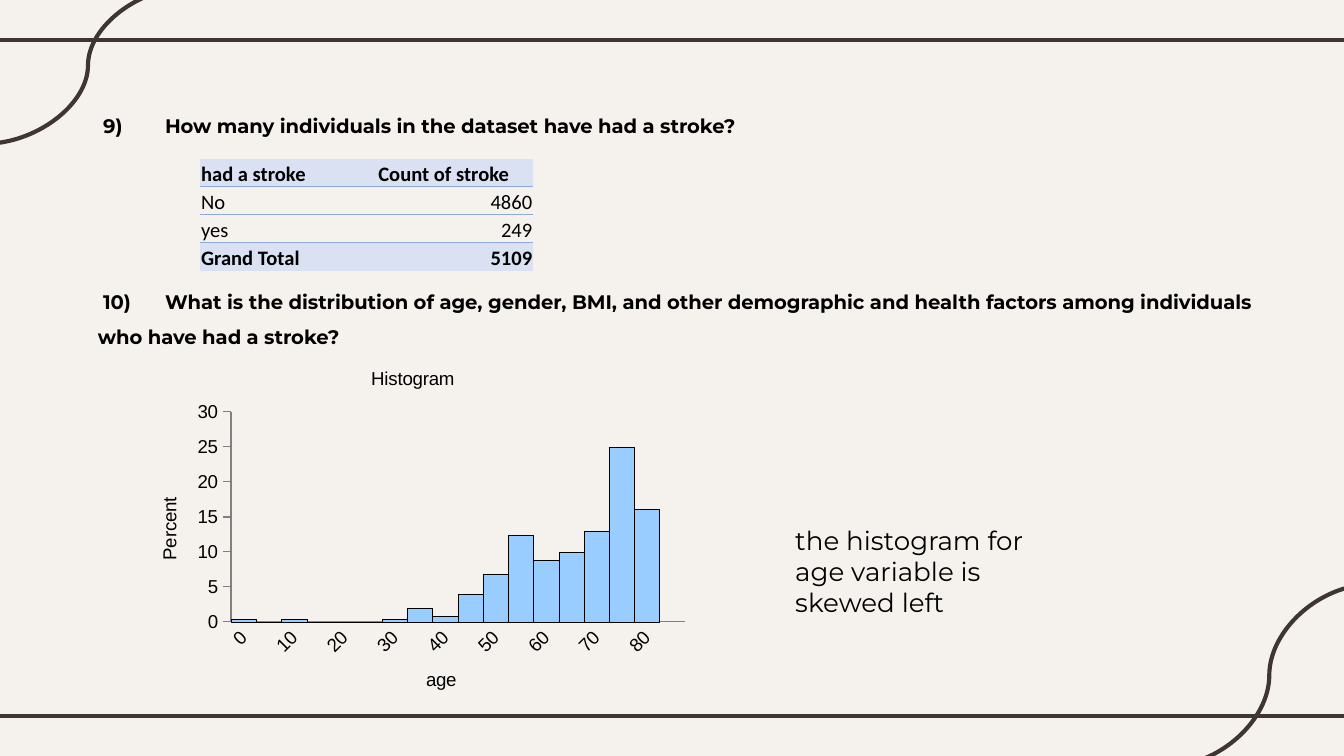
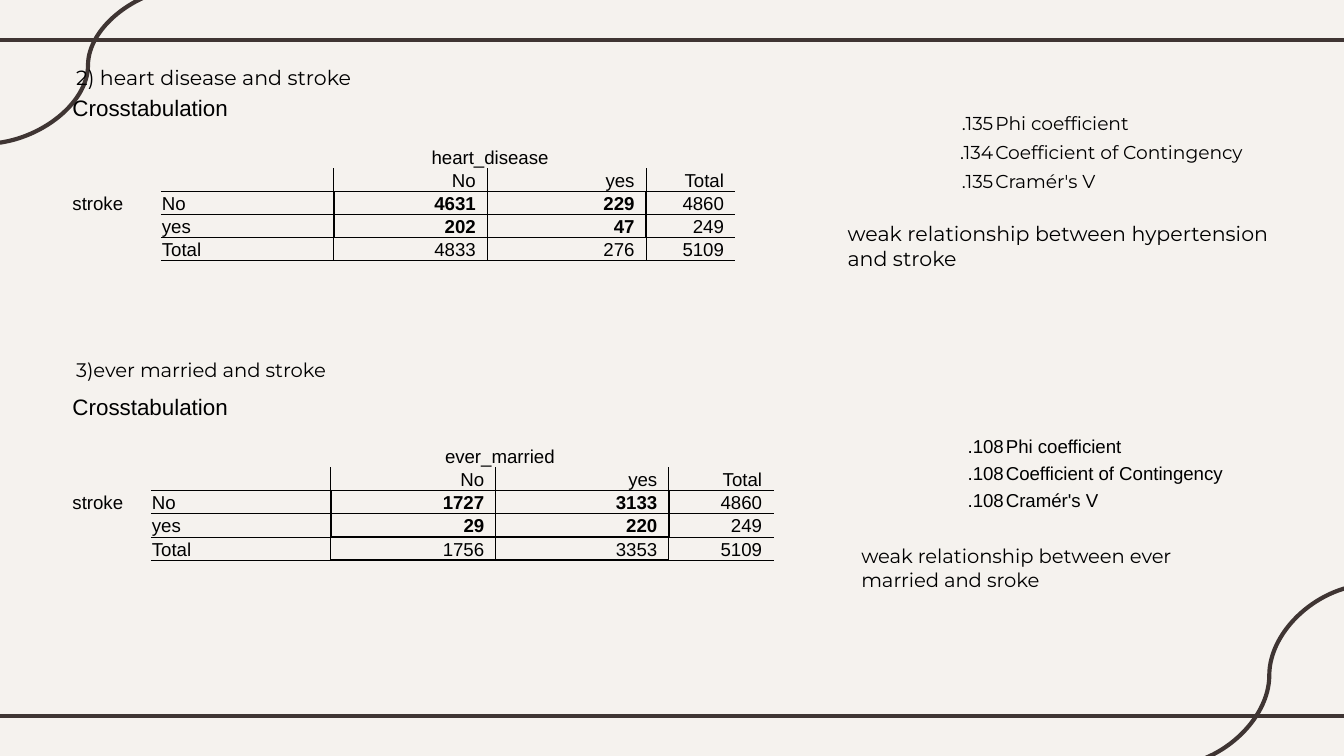
from lxml import etree
from pptx import Presentation
from pptx.chart.data import CategoryChartData
from pptx.dml.color import RGBColor
from pptx.enum.chart import XL_CHART_TYPE, XL_TICK_MARK
from pptx.enum.shapes import MSO_CONNECTOR
from pptx.enum.text import MSO_ANCHOR, PP_ALIGN
from pptx.oxml.ns import qn
from pptx.util import Cm, Pt

# Shared look
CREAM = RGBColor(0xF5, 0xF2, 0xEE)
BROWN = RGBColor(0x3F, 0x35, 0x33)
BLACK = RGBColor(0x00, 0x00, 0x00)
GREY = RGBColor(0x80, 0x80, 0x80)
PALE_BLUE = RGBColor(0xD9, 0xE1, 0xF2)
RULE_BLUE = RGBColor(0x8E, 0xA9, 0xDB)
BAR_BLUE = RGBColor(0x99, 0xCC, 0xFF)
BODY_FONT = "Montserrat"
TABLE_FONT = "Calibri"
OUTPUT_FONT = "Arial"

STRAIGHT = MSO_CONNECTOR.STRAIGHT
CURVE = MSO_CONNECTOR.CURVE
COLUMN = XL_CHART_TYPE.COLUMN_CLUSTERED
TICK_NONE = XL_TICK_MARK.NONE
TICK_OUTSIDE = XL_TICK_MARK.OUTSIDE
BOTTOM = MSO_ANCHOR.BOTTOM
LEFT = PP_ALIGN.LEFT
CENTER = PP_ALIGN.CENTER
RIGHT = PP_ALIGN.RIGHT

NO_STYLE = "{2D5ABB26-0587-4C30-8999-92F81FD0307C}"
BORDER_TAGS = [qn(f"a:ln{side}") for side in "LRTB"]
NUMBER_MARGIN = 0.22

FRAME_LINES = [
    (STRAIGHT, -0.2, 0.76, 25.6, 0.76),
    (STRAIGHT, -0.2, 13.54, 25.6, 13.54),
    (CURVE, 25.91, 11.05, 22.07, 14.48),
    (CURVE, 3.63, -0.25, -0.3, 2.72),
]


def style_font(font, name, size, bold=False):
    font.name = name
    font.size = Pt(size)
    font.bold = bold
    font.color.rgb = BLACK


# Slide frame
def add_framed_slide(presentation):
    slide = presentation.slides.add_slide(presentation.slide_layouts[6])
    for kind, *ends in FRAME_LINES:
        line = slide.shapes.add_connector(kind, *map(Cm, ends))
        line.line.color.rgb = BROWN
        line.line.width = Pt(2.25)
        etree.SubElement(line._element.spPr, qn("a:effectLst"))
    return slide


# Text
def add_note(slide, left, top, width, height, text, size):
    box = slide.shapes.add_textbox(Cm(left), Cm(top), Cm(width), Cm(height))
    frame = box.text_frame
    frame.word_wrap = True
    frame.text = text
    style_font(frame.paragraphs[0].runs[0].font, BODY_FONT, size)
    return frame


def add_headings(slide, left, top, width, height, headings, gap,
                 first_indent, line_spacing=1.0, bold=False):
    """Headings are (text, size, tab stop in cm or None); gap is in points."""
    box = slide.shapes.add_textbox(Cm(left), Cm(top), Cm(width), Cm(height))
    frame = box.text_frame
    frame.word_wrap = True
    frame.margin_top = frame.margin_bottom = Cm(0.25)
    for index, (text, size, tab) in enumerate(headings):
        paragraph = frame.add_paragraph() if index else frame.paragraphs[0]
        paragraph.text = text
        properties = paragraph._p.get_or_add_pPr()
        properties.set("marL", "0")
        properties.set("indent", str(Cm(first_indent)))
        if tab:
            tabs = etree.SubElement(properties, qn("a:tabLst"))
            etree.SubElement(tabs, qn("a:tab"), pos=str(Cm(tab)), algn="l")
        paragraph.line_spacing = line_spacing
        if index:
            paragraph.space_before = Pt(gap)
        style_font(paragraph.runs[0].font, BODY_FONT, size, bold)


# Tables
def add_plain_table(slide, left, top, widths, heights):
    frame = slide.shapes.add_table(len(heights), len(widths), Cm(left), Cm(top),
                                   Cm(sum(widths)), Cm(sum(heights)))
    table = frame.table
    table.first_row = table.horz_banding = False
    table._tbl.tblPr.find(qn("a:tableStyleId")).text = NO_STYLE
    for column, width in zip(table.columns, widths):
        column.width = Cm(width)
    for row, height in zip(table.rows, heights):
        row.height = Cm(height)
    for cell in table.iter_cells():
        cell.fill.background()
        cell.vertical_anchor = BOTTOM
        cell.margin_left = cell.margin_right = Cm(0.02)
        cell.margin_top, cell.margin_bottom = Cm(0.01), Cm(0)
        # Small end mark keeps empty rows from growing
        etree.SubElement(cell.text_frame.paragraphs[0]._p,
                         qn("a:endParaRPr"), sz="800")
    return table


def write_cell(cell, text, font, size, align=LEFT, bold=False, right_margin=0.02):
    paragraph = cell.text_frame.paragraphs[0]
    paragraph.text = text
    paragraph.alignment = align
    cell.margin_right = Cm(right_margin)
    style_font(paragraph.runs[0].font, font, size, bold)


def add_border(cell, side, color, width):
    properties = cell._tc.get_or_add_tcPr()
    tag = qn(f"a:ln{side}")
    earlier = BORDER_TAGS[:BORDER_TAGS.index(tag)]
    line = etree.Element(tag, w=str(Pt(width)))
    fill = etree.SubElement(line, qn("a:solidFill"))
    etree.SubElement(fill, qn("a:srgbClr"), val=str(color))
    properties.insert(sum(child.tag in earlier for child in properties), line)


def rule_below(table, row, column, color, width):
    add_border(table.cell(row, column), "B", color, width)
    add_border(table.cell(row + 1, column), "T", color, width)


def rule_right(table, row, column, color, width):
    add_border(table.cell(row, column), "R", color, width)
    add_border(table.cell(row, column + 1), "L", color, width)


def add_stroke_counts(slide):
    rows = [("had a stroke", "Count of stroke"), ("No", "4860"),
            ("yes", "249"), ("Grand Total", "5109")]
    table = add_plain_table(slide, 3.78, 3, [3.35, 2.95], [0.53] * len(rows))
    for row, texts in enumerate(rows):
        outer = row in (0, len(rows) - 1)
        for column, text in enumerate(texts):
            cell = table.cell(row, column)
            align = RIGHT if row and column else LEFT
            write_cell(cell, text, TABLE_FONT, 11, align, outer)
            if outer:
                cell.fill.solid()
                cell.fill.fore_color.rgb = PALE_BLUE
            if row in (0, 2):
                rule_below(table, row, column, RULE_BLUE, 0.5)


def add_crosstab(slide, top, widths, heights, title_row, variable, counts):
    table = add_plain_table(slide, 1.35, top, widths, heights)
    header = title_row + 3

    # Title, variable names and column heads
    title = table.cell(title_row, 0)
    title.merge(table.cell(title_row, 1))
    write_cell(title, "Crosstabulation", OUTPUT_FONT, 12)
    group = table.cell(header - 1, 3)
    group.merge(table.cell(header - 1, 4))
    write_cell(group, variable, OUTPUT_FONT, 10, CENTER)
    write_cell(table.cell(header + 1, 0), "stroke", OUTPUT_FONT, 10)

    # Counts with totals
    totals = [sum(column) for column in zip(*counts)]
    body = [[*row, sum(row)] for row in [*counts, totals]]
    labels = ["No", "yes", "Total"]
    for offset, values in enumerate([labels, *body]):
        row = header + offset
        if offset:
            write_cell(table.cell(row, 1), labels[offset - 1], OUTPUT_FONT, 10)
        for column, value in enumerate(values, start=3):
            bold = offset in (1, 2) and column < 5
            write_cell(table.cell(row, column), str(value), OUTPUT_FONT, 10,
                       RIGHT, bold, NUMBER_MARGIN)

    # Thin grid, heavier around the four counts
    for offset in range(4):
        row = header + offset
        for column in range(1, 6):
            if offset < 3:
                heavy = column in (3, 4) and offset in (0, 2)
                rule_below(table, row, column, BLACK, 1 if heavy else 0.5)
            if column in (2, 3, 4):
                heavy = column in (2, 4) and offset in (1, 2)
                rule_right(table, row, column, BLACK, 1 if heavy else 0.5)


def add_coefficients(slide, left, top, widths, row_height, values, font):
    names = ["Phi coefficient", "Coefficient of Contingency", "Cramér's V"]
    table = add_plain_table(slide, left, top, widths, [row_height] * len(names))
    table.cell(1, 1).merge(table.cell(1, 2))
    for row, (value, name) in enumerate(zip(values, names)):
        write_cell(table.cell(row, 0), value, font, 10, RIGHT)
        write_cell(table.cell(row, 1), name, font, 10)


# Chart
def set_title(owner, text):
    frame = owner.text_frame
    frame.text = text
    style_font(frame.paragraphs[0].runs[0].font, OUTPUT_FONT, 10)
    return frame


def set_plot_layout(chart, **fractions):
    plot_area = chart._chartSpace.chart.plotArea
    for old in plot_area.findall(qn("c:layout")):
        plot_area.remove(old)
    layout = etree.Element(qn("c:layout"))
    plot_area.insert(0, layout)
    manual = etree.SubElement(layout, qn("c:manualLayout"))
    settings = {"layoutTarget": "inner", "xMode": "edge", "yMode": "edge", **fractions}
    for name, value in settings.items():
        etree.SubElement(manual, qn(f"c:{name}"), val=str(value))


def add_age_histogram(slide):
    data = CategoryChartData(number_format="0.0")
    data.categories = [str(age) for age in range(0, 90, 5)]
    data.add_series("Series 1", [0.4, 0, 0.4, 0, 0, 0, 0.4, 2, 0.8, 4, 6.8, 12.4,
                                 8.8, 10, 12.9, 24.9, 16.1, None])
    chart = slide.shapes.add_chart(COLUMN, Cm(2.44), Cm(6.58), Cm(10.72),
                                   Cm(7.09), data).chart
    style_font(chart.font, OUTPUT_FONT, 10)
    chart.has_legend = False
    chart.has_title = True
    set_title(chart.chart_title, "Histogram")
    set_plot_layout(chart, x=0.18, y=0.17, w=0.8, h=0.56)

    plot = chart.plots[0]
    plot.gap_width = 0
    plot.vary_by_categories = False
    bars = plot.series[0].format
    bars.fill.solid()
    bars.fill.fore_color.rgb = BAR_BLUE
    bars.line.color.rgb = BLACK
    bars.line.width = Pt(0.25)

    ages, percents = chart.category_axis, chart.value_axis
    for axis, title, tick in ((ages, "age", TICK_NONE),
                              (percents, "Percent", TICK_OUTSIDE)):
        axis.has_major_gridlines = False
        axis.major_tick_mark = tick
        axis.minor_tick_mark = TICK_NONE
        axis.format.line.color.rgb = GREY
        style_font(axis.tick_labels.font, OUTPUT_FONT, 10)
        title_frame = set_title(axis.axis_title, title)
    title_frame._txBody.bodyPr.set("rot", "-5400000")
    percents.minimum_scale, percents.maximum_scale = 0, 30
    percents.major_unit = 5
    percents.tick_labels.number_format = "0"
    percents.tick_labels.number_format_is_linked = False

    # Every second age, slanted
    axis_xml = ages._element
    axis_xml.find(qn("c:txPr")).find(qn("a:bodyPr")).set("rot", "-2700000")
    skip = etree.Element(qn("c:tickLblSkip"), val="2")
    axis_xml.find(qn("c:lblOffset")).addnext(skip)


# Slides
def build_questions_slide(presentation):
    slide = add_framed_slide(presentation)
    questions = [
        ("9)\tHow many individuals in the dataset have had a stroke?", 10.5, 0.98),
        ("10)\tWhat is the distribution of age, gender, BMI, and other demographic "
         "and health factors among individuals who have had a stroke?", 10.5, 1.13),
    ]
    add_headings(slide, 1.6, 1.68, 22.56, 10.34, questions, gap=75.5,
                 first_indent=0.1, line_spacing=1.5, bold=True)
    add_stroke_counts(slide)
    add_age_histogram(slide)
    add_note(slide, 14.78, 9.78, 5.16, 2.06,
             "the histogram for age variable is skewed left", 14)


def build_crosstabs_slide(presentation):
    slide = add_framed_slide(presentation)
    headings = [("2) heart disease and stroke", 11, None),
                ("3)ever married and stroke", 10.5, None)]
    add_headings(slide, 0.89, 0.97, 23.77, 11.53, headings, gap=144, first_indent=0.3)

    # Heart disease
    add_crosstab(slide, 1.4, [1.69, 1.69, 1.58, 2.9, 3, 1.69],
                 [0.38, 0.51, 0.45] + [0.42] * 7, 1, "heart_disease",
                 [(4631, 229), (202, 47)])
    add_coefficients(slide, 15.77, 2.01, [3.02, 3.25, 1.83], 0.55,
                     [".135", ".134", ".135"], BODY_FONT)
    add_note(slide, 15.77, 4.06, 9.17, 1.19,
             "weak relationship between hypertension and stroke", 11)

    # Ever married
    add_crosstab(slide, 7.14, [1.5, 1.5, 1.9, 3.12, 3.27, 1.98],
                 [0.81] + [0.44] * 7, 0, "ever_married", [(1727, 3133), (29, 220)])
    add_coefficients(slide, 16.2, 8.13, [2.79, 3, 1.7], 0.51, [".108"] * 3,
                     OUTPUT_FONT)
    add_note(slide, 16.03, 10.16, 7.87, 1.14,
             "weak relationship between ever married and sroke", 10.5)


def main():
    presentation = Presentation()
    presentation.slide_width, presentation.slide_height = Cm(25.4), Cm(14.29)
    background = presentation.slide_master.background.fill
    background.solid()
    background.fore_color.rgb = CREAM
    build_questions_slide(presentation)
    build_crosstabs_slide(presentation)
    presentation.save("out.pptx")


if __name__ == "__main__":
    main()
